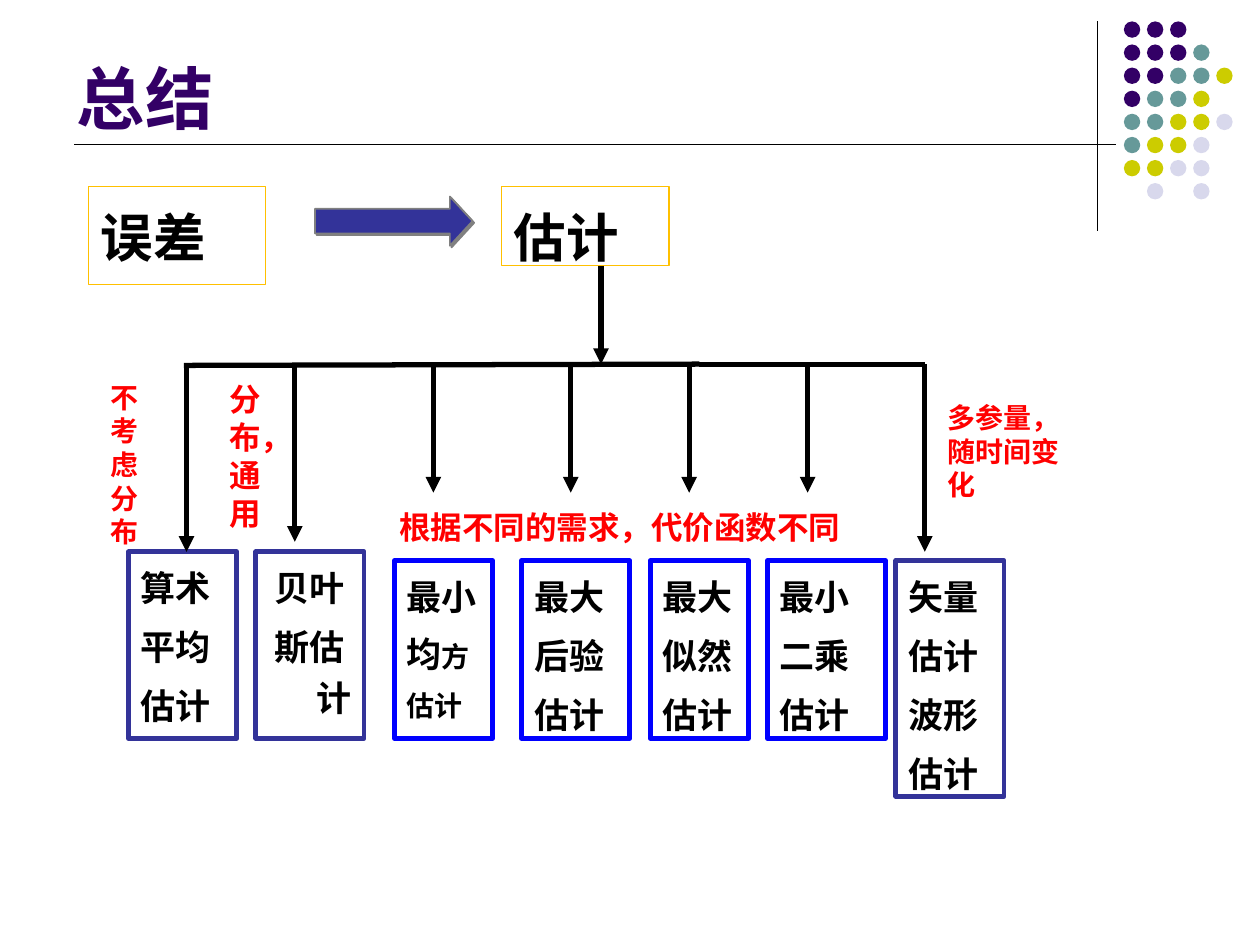
from lxml.etree import SubElement
from pptx import Presentation
from pptx.dml.color import RGBColor
from pptx.enum.shapes import MSO_CONNECTOR as Connector, MSO_SHAPE as Shape
from pptx.enum.text import MSO_ANCHOR as Anchor, MSO_AUTO_SIZE as AutoSize, PP_ALIGN as Align
from pptx.oxml.ns import qn
from pptx.util import Pt

PX = 9144  # EMU in one px, 100 px to the inch

PURPLE, TEAL, OLIVE, LILAC = "330066", "669999", "CCCC00", "D8D8EC"
NAVY, BLUE, AMBER, GREY = "333399", "0000FF", "FFC000", "808080"
BLACK, RED = "000000", "FF0000"
HANGING = 38

DOT_COLOURS = {"P": PURPLE, "T": TEAL, "Y": OLIVE, "L": LILAC}
DOT_ROWS = ["PPP", "PPPT", "PPTTY", "PTTY", "TTYYL", "TYYL", "YYLL", " L L"]

# Estimation methods: box, outline, alignment, paragraphs
METHODS = [
    ((102, 438, 86, 148), NAVY, Align.LEFT, ["算术", "平均", "估计"]),
    ((203, 438, 86, 148), NAVY, Align.CENTER, ["贝叶", "斯估计"]),
    ((313, 445, 78, 141), BLUE, Align.LEFT,
     ["最小", [("均", 20), ("方", 16)], [("估计", 16)]]),
    ((414, 445, 86, 141), BLUE, Align.LEFT, ["最大", "后验", "估计"]),
    ((516, 445, 78, 141), BLUE, Align.LEFT, ["最大", "似然", "估计"]),
    ((609, 445, 94, 141), BLUE, Align.LEFT, ["最小", "二乘", "估计"]),
    ((711, 445, 86, 187), NAVY, Align.LEFT, ["矢量", "估计", "波形", "估计"]),
]

# Branch arrows: x and the y of the tip
BRANCHES = [(148, 438), (234, 430), (344, 391), (453, 391),
            (547, 391), (641, 391), (734, 438)]

# Red remarks: box, size, wrap, paragraphs
REMARKS = [
    ((78, 297, 47, 144), 16, True, list("不考虑分布")),
    ((172, 297, 70, 130), 18, False, ["分", "布，", "通", "用"]),
    ((307, 398, 370, 40), 18, False, ["根据不同的需求，代价函数不同"]),
    ((742, 313, 109, 90), 16, True, ["多参量，随时间变化"]),
]


def px(*lengths):
    return [round(length * PX) for length in lengths]


def colour(hex_string):
    return RGBColor.from_string(hex_string)


def write_run(paragraph, text, size, text_colour):
    run = paragraph.add_run()
    run.text = text
    for name, value in {"name": "Arial", "size": Pt(size), "bold": True}.items():
        setattr(run.font, name, value)
    run.font.color.rgb = colour(text_colour)


def write_paragraphs(frame, lines, size, text_colour, align=Align.LEFT, hanging=False):
    for number, line in enumerate(lines):
        paragraph = frame.add_paragraph() if number else frame.paragraphs[0]
        paragraph.alignment = align
        runs = [(line, size)] if isinstance(line, str) else line
        if hanging:
            properties = paragraph._p.get_or_add_pPr()
            properties.set("marL", str(HANGING * PX))
            properties.set("indent", str(-HANGING * PX))
            paragraph.line_spacing = 1.2
            if number:
                paragraph.space_before = Pt(runs[-1][1] / 4)
        for text, run_size in runs:
            write_run(paragraph, text, run_size, text_colour)


def add_line(slide, start, end, width, arrow=False):
    line = slide.shapes.add_connector(Connector.STRAIGHT, *px(*start, *end))
    line.line.color.rgb = colour(BLACK)
    line.line.width = Pt(width)
    if arrow:
        SubElement(line.line._get_or_add_ln(), qn("a:tailEnd"), type="triangle")
    SubElement(line._element.spPr, qn("a:effectLst"))


def add_title(slide, box, text):
    title = slide.shapes.title
    title.left, title.top, title.width, title.height = px(*box)
    frame = title.text_frame
    frame.vertical_anchor = Anchor.BOTTOM
    frame.word_wrap = True
    write_paragraphs(frame, [text], 39, PURPLE)


def add_decoration(slide):
    add_line(slide, (871, 17), (871, 183), 0.75)
    add_line(slide, (59, 115), (886, 115), 0.5)
    add_dots(slide, 892, 17, pitch=55 / 3, diameter=13)


def add_dots(slide, left, top, pitch, diameter):
    group = slide.shapes.add_group_shape()
    for row, pattern in enumerate(DOT_ROWS):
        for column, key in enumerate(pattern):
            if key == " ":
                continue
            dot = group.shapes.add_shape(Shape.OVAL, *px(
                left + column * pitch, top + row * pitch, diameter, diameter))
            dot.shadow.inherit = False
            dot.fill.solid()
            dot.fill.fore_color.rgb = colour(DOT_COLOURS[key])
            dot.line.fill.background()


def add_text_box(slide, box, outline, width, lines, size, align=Align.LEFT):
    shape = slide.shapes.add_shape(Shape.RECTANGLE, *px(*box))
    shape.shadow.inherit = False
    shape.fill.background()
    shape.line.color.rgb = colour(outline)
    shape.line.width = Pt(width)
    frame = shape.text_frame
    frame.vertical_anchor = Anchor.TOP
    frame.word_wrap = True
    write_paragraphs(frame, lines, size, BLACK, align, hanging=True)


def add_block_arrow(slide, box):
    arrow = slide.shapes.add_shape(Shape.RIGHT_ARROW, *px(*box))
    arrow.adjustments[1] = 0.46
    arrow.fill.solid()
    arrow.fill.fore_color.rgb = colour(NAVY)
    arrow.line.color.rgb = colour(GREY)
    arrow.line.width = Pt(1)
    # Hard grey shadow down and to the right
    effects = SubElement(arrow._element.spPr, qn("a:effectLst"))
    shadow = SubElement(effects, qn("a:outerShdw"), dist=str(Pt(1.4)),
                        dir=str(45 * 60000), algn="ctr", rotWithShape="0")
    SubElement(shadow, qn("a:srgbClr"), val=GREY)


def add_header_row(slide):
    add_text_box(slide, (70, 148, 141, 78), AMBER, 0.75, ["误差"], 30)
    add_text_box(slide, (398, 148, 133, 63), AMBER, 0.75, ["估计"], 30)
    add_block_arrow(slide, (250, 156, 125, 39))


def add_tree(slide, top):
    # Trunk and crossbar
    add_line(slide, (146, top + 1), (555, top), 3)
    add_line(slide, (477, 211), (477, top), 3, arrow=True)
    add_line(slide, (555, top), (734, top), 2.75)
    for x, tip in BRANCHES:
        add_line(slide, (x, top), (x, tip), 3, arrow=True)


def add_remark(slide, box, size, wrap, lines):
    frame = slide.shapes.add_textbox(*px(*box)).text_frame
    frame.word_wrap = wrap
    frame.auto_size = AutoSize.SHAPE_TO_FIT_TEXT
    write_paragraphs(frame, lines, size, RED)


def main():
    presentation = Presentation()
    presentation.slide_width, presentation.slide_height = px(1000, 750)
    slide = presentation.slides.add_slide(presentation.slide_layouts[5])
    add_decoration(slide)
    add_title(slide, (51, 12, 825, 103), "总结")
    add_header_row(slide)
    for box, outline, align, lines in METHODS:
        add_text_box(slide, box, outline, 2.75, lines, 20, align)
    add_tree(slide, top=289)
    for remark in REMARKS:
        add_remark(slide, *remark)
    presentation.save("out.pptx")


if __name__ == "__main__":
    main()
